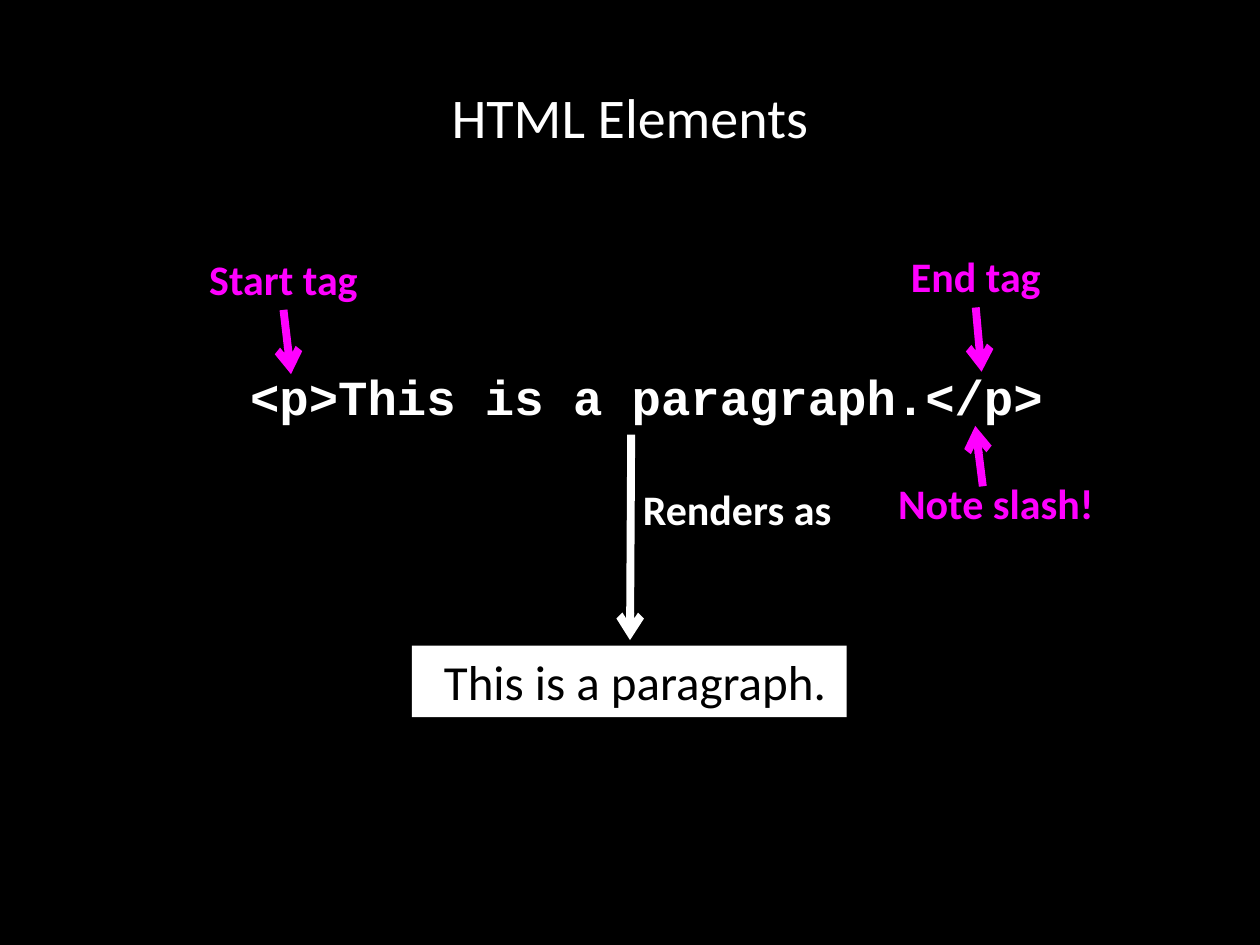
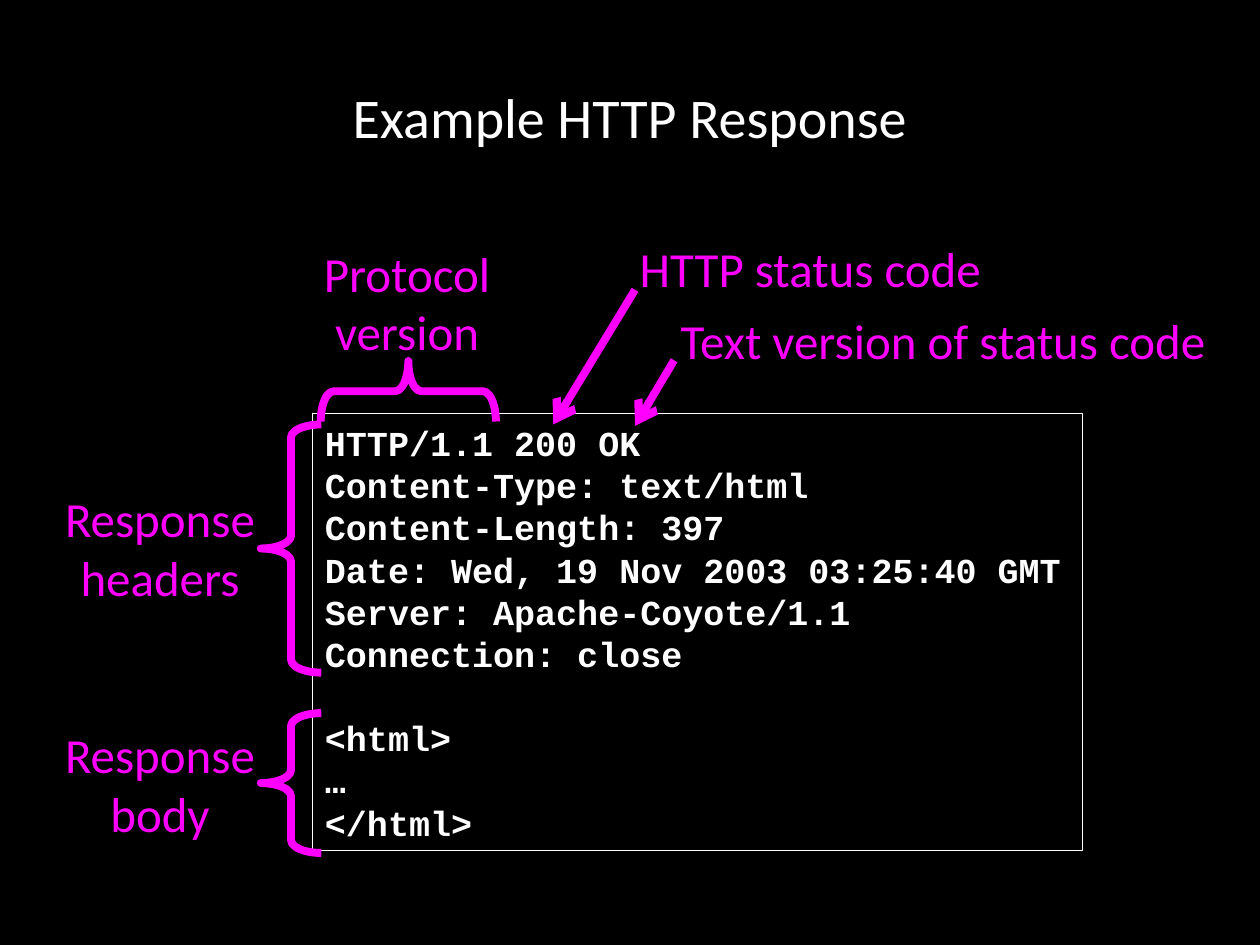
"""Build two slides that annotate an HTML element and an HTTP response."""
import pptx
import pptx.dml.color
import pptx.enum.shapes
import pptx.enum.text
import pptx.oxml.ns
import pptx.oxml.xmlchemy
import pptx.util

Pt = pptx.util.Pt
BLACK, WHITE, MAGENTA = "000000", "FFFFFF", "FF00FF"
BODY_FONT, CODE_FONT = "Calibri", "Courier New"
CENTER = pptx.enum.text.PP_ALIGN.CENTER
LEFT = pptx.enum.text.PP_ALIGN.LEFT
TOP = pptx.enum.text.MSO_ANCHOR.TOP
MIDDLE = pptx.enum.text.MSO_ANCHOR.MIDDLE
SHAPES = pptx.enum.shapes.MSO_SHAPE
BOTTOM_SIDE = 2
STROKE = 4.5
TITLE_BOX = (36, 21.6, 648, 90)

TAGS = [
    ("Start tag", (111.6, 141.1, 100.8, 36), (166.3, 213.8)),
    ("End tag", (512.6, 139.7, 90, 36), (560.9, 212.4)),
]
ELEMENT = ("<p>This is a paragraph.</p>", (124.3, 205.7, 490.3, 41))
SLASH_NOTE = ("Note slash!", (505.4, 269.3, 127.4, 36.7))
SLASH_ARROW = ((561.6, 277.9), (557.3, 243.4))
RENDERS = ("Renders as", (359.3, 272.9, 123.8, 36.7))
RENDER_ARROW = ((360.7, 248.4), (360, 365.8))
RENDERED = ("This is a paragraph.", (235.4, 368.9, 248.4, 41))

HEADERS = [
    "HTTP/1.1 200 OK",
    "Content-Type: text/html",
    "Content-Length: 397",
    "Date: Wed, 19 Nov 2003 03:25:40 GMT",
    "Server: Apache-Coyote/1.1",
    "Connection: close",
]
BODY = ["<html>", "…", "</html>"]
RESPONSE_BOX = (178.6, 236.2, 439.9, 249.8)
RESPONSE_PITCH = 24.1
CALLOUTS = [
    ("HTTP status code", (355, 132.5, 216, 41)),
    ("Protocol\nversion", (175.7, 135.4, 113.8, 74.9)),
    ("Response\nheaders", (28.1, 275.8, 126.7, 74.9)),
    ("Response\nbody", (28.1, 410.4, 126.7, 74.9)),
    ("Text version of status code", (374.4, 174.2, 329, 41)),
]
BRACES = [
    ((216, 173.5, 34.6, 100.1), 90),
    ((149, 242.6, 34.6, 141.8), 0),
    ((149, 407.5, 34.6, 79.9), 0),
]
STATUS_ARROWS = [
    ((362.9, 165.6), (316.1, 242.6)),
    ((385.2, 205.9), (362.9, 243.4)),
]


def color(value):
    return pptx.dml.color.RGBColor.from_string(value)


def points(values):
    return [Pt(value) for value in values]


def write(shape, text, size, ink, font=BODY_FONT, bold=False, align=CENTER, anchor=TOP):
    frame = shape.text_frame
    frame.text = text
    frame.word_wrap = False
    frame.vertical_anchor = anchor
    for paragraph in frame.paragraphs:
        paragraph.alignment = align
        for run in paragraph.runs:
            run.font.name = font
            run.font.size = Pt(size)
            run.font.bold = bold
            run.font.color.rgb = color(ink)


def add_label(slide, text, box, size, ink, **style):
    label = slide.shapes.add_textbox(*points(box))
    write(label, text, size, ink, **style)
    return label


def add_panel(slide, box, fill):
    panel = slide.shapes.add_shape(SHAPES.RECTANGLE, *points(box))
    panel.shadow.inherit = False
    panel.fill.solid()
    panel.fill.fore_color.rgb = color(fill)
    panel.line.fill.background()
    return panel


def add_arrow(slide, start, end, ink=MAGENTA):
    arrow = slide.shapes.add_connector(
        pptx.enum.shapes.MSO_CONNECTOR.STRAIGHT, *points(start + end))
    arrow.line.color.rgb = color(ink)
    arrow.line.width = Pt(STROKE)
    head = pptx.oxml.xmlchemy.OxmlElement("a:tailEnd")
    head.set("type", "arrow")
    properties = arrow._element.find(pptx.oxml.ns.qn("p:spPr"))
    properties.find(pptx.oxml.ns.qn("a:ln")).append(head)
    properties.append(pptx.oxml.xmlchemy.OxmlElement("a:effectLst"))
    return arrow


def add_brace(slide, box, rotation):
    brace = slide.shapes.add_shape(SHAPES.LEFT_BRACE, *points(box))
    brace.shadow.inherit = False
    brace.rotation = rotation
    brace.adjustments[0] = 0.215
    brace.fill.background()
    brace.line.color.rgb = color(MAGENTA)
    brace.line.width = Pt(STROKE)


def add_slide(deck, title):
    slide = deck.slides.add_slide(deck.slide_layouts[6])
    add_label(slide, title, TITLE_BOX, 32, WHITE, anchor=MIDDLE)
    return slide


def build_elements(deck):
    slide = add_slide(deck, "HTML Elements")
    add_label(slide, *ELEMENT, 28, WHITE, font=CODE_FONT, bold=True)
    for text, box, target in TAGS:
        tag = add_label(slide, text, box, 24, MAGENTA, bold=True)
        start = (box[0] + box[2] / 2, box[1] + box[3])
        add_arrow(slide, start, target).begin_connect(tag, BOTTOM_SIDE)
    add_label(slide, *SLASH_NOTE, 24, MAGENTA, bold=True)
    add_arrow(slide, *SLASH_ARROW)
    text, box = RENDERED
    rendered = add_panel(slide, box, WHITE)
    write(rendered, text, 28, BLACK)
    rendered.text_frame.margin_left = Pt(13.5)
    add_arrow(slide, *RENDER_ARROW, WHITE)
    add_label(slide, *RENDERS, 24, WHITE, bold=True)


def build_response(deck):
    slide = add_slide(deck, "Example HTTP Response")
    response = add_panel(slide, RESPONSE_BOX, BLACK)
    response.line.color.rgb = color(WHITE)
    response.line.width = Pt(0.75)
    write(response, "\n".join(HEADERS + BODY), 20, WHITE,
          font=CODE_FONT, bold=True, align=LEFT)
    response.text_frame.word_wrap = True
    response.text_frame.margin_top = Pt(4.6)
    lines = response.text_frame.paragraphs
    for line in lines:
        line.line_spacing = Pt(RESPONSE_PITCH)
    lines[len(HEADERS)].space_before = Pt(RESPONSE_PITCH)
    for text, box in CALLOUTS:
        add_label(slide, text, box, 28, MAGENTA)
    for box, rotation in BRACES:
        add_brace(slide, box, rotation)
    for start, end in STATUS_ARROWS:
        add_arrow(slide, start, end)


def main():
    deck = pptx.Presentation()
    deck.slide_width, deck.slide_height = points((720, 540))
    backdrop = deck.slide_master.background.fill
    backdrop.solid()
    backdrop.fore_color.rgb = color(BLACK)
    build_elements(deck)
    build_response(deck)
    deck.save("out.pptx")


if __name__ == "__main__":
    main()
